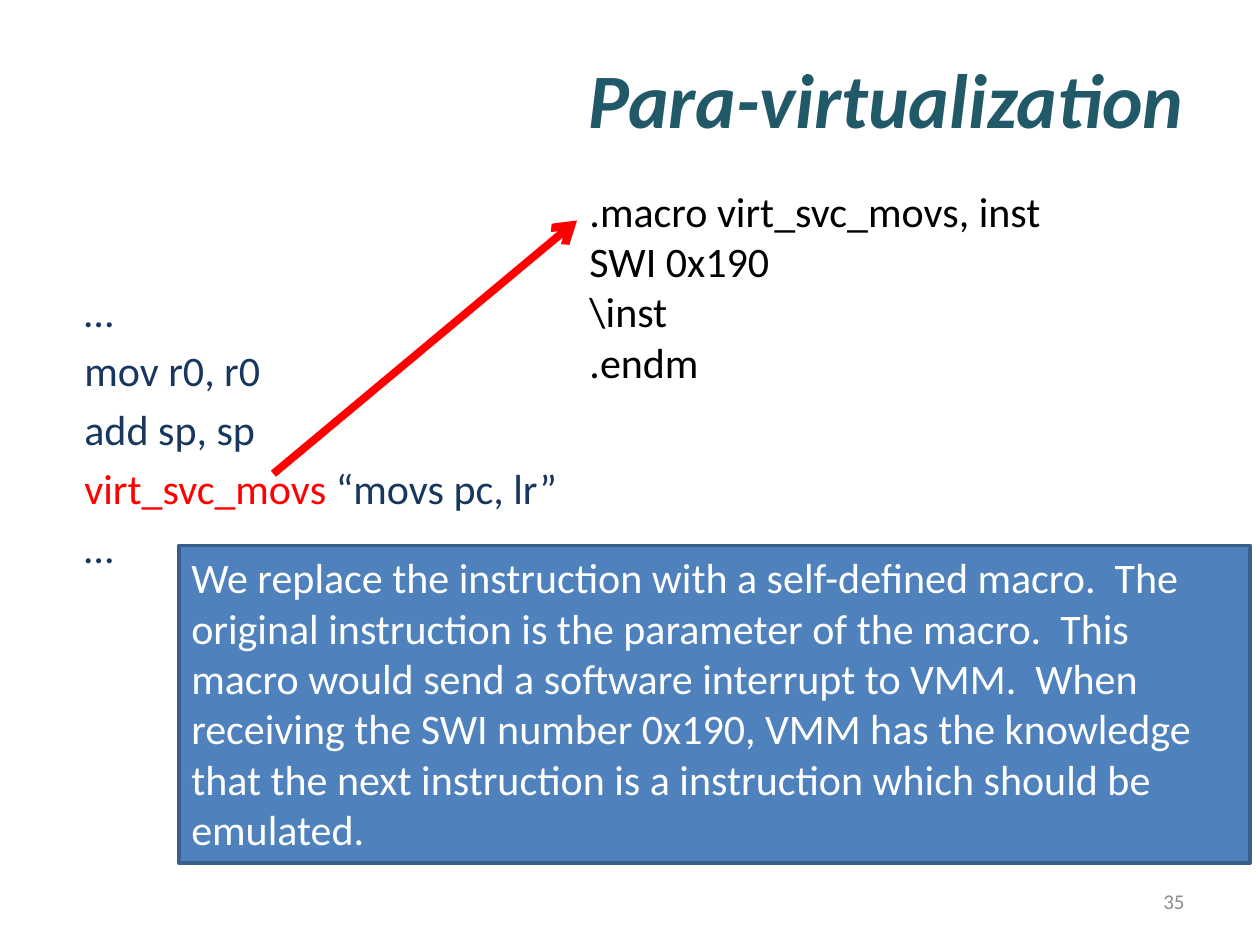
"""Build the para-virtualization slide."""
from lxml import etree
from pptx import Presentation
from pptx import util as u
from pptx.dml.color import RGBColor
from pptx.enum import shapes, text
from pptx.oxml.ns import qn

TEAL = RGBColor(0x21, 0x59, 0x68)
NAVY = RGBColor(0x17, 0x37, 0x5E)
RED = RGBColor(0xFF, 0x00, 0x00)
BLACK = RGBColor(0x00, 0x00, 0x00)
WHITE = RGBColor(0xFF, 0xFF, 0xFF)
GRAY = RGBColor(0x8C, 0x8C, 0x8C)
BLUE = RGBColor(0x4F, 0x81, 0xBD)
DARK_BLUE = RGBColor(0x3A, 0x5F, 0x8C)

ASSEMBLY = [
    [("…", NAVY)],
    [("mov r0, r0", NAVY)],
    [("add sp, sp", NAVY)],
    [("virt_svc_movs ", RED), ("“movs pc, lr”", NAVY)],
    [("…", NAVY)],
]
MACRO = [[(line, BLACK)] for line in
         (".macro virt_svc_movs, inst", "SWI 0x190", "\\inst", ".endm")]
EXPLANATION = (
    "We replace the instruction with a self-defined macro.  The original "
    "instruction is the parameter of the macro.  This macro would send a "
    "software interrupt to VMM.  When receiving the SWI number 0x190, VMM has "
    "the knowledge that the next instruction is a instruction which should be "
    "emulated."
)


def set_values(target, values):
    """Set each named attribute on the target."""
    for name, value in values.items():
        setattr(target, name, value)


def box(left, top, width, height):
    """Return a position and size in inches."""
    return [u.Inches(value) for value in (left, top, width, height)]


def write_text(shape, lines, size=24, align=text.PP_ALIGN.LEFT,
               anchor=text.MSO_ANCHOR.TOP, gap=0, **font):
    """Write lines of coloured runs into a shape."""
    frame = shape.text_frame
    set_values(frame, {"word_wrap": True, "vertical_anchor": anchor})
    for index, line in enumerate(lines):
        paragraph = frame.add_paragraph() if index else frame.paragraphs[0]
        set_values(paragraph, {"alignment": align,
                               "space_before": u.Pt(gap if index else 0)})
        for words, color in line:
            run = paragraph.add_run()
            run.text = words
            set_values(run.font, {"name": "Calibri", "size": u.Pt(size), **font})
            run.font.color.rgb = color


def add_title(slide, words):
    """Place and format the title placeholder."""
    title = slide.shapes.title
    left, top, width, height = box(0.5, 0.3, 9, 0.95)
    set_values(title, {"left": left, "top": top, "width": width, "height": height})
    write_text(title, [[(words, TEAL)]], 44, text.PP_ALIGN.RIGHT,
               text.MSO_ANCHOR.MIDDLE, bold=True, italic=True)


def add_text(slide, position, lines, **formats):
    """Add a text box."""
    shape = slide.shapes.add_textbox(*box(*position))
    write_text(shape, lines, **formats)
    return shape


def add_arrow(slide, start, end):
    """Add a red arrow between two points."""
    points = [u.Inches(value) for value in (*start, *end)]
    arrow = slide.shapes.add_connector(shapes.MSO_CONNECTOR.STRAIGHT, *points)
    arrow.line.color.rgb = RED
    arrow.line.width = u.Pt(4.5)
    properties = arrow.line._get_or_add_ln()
    etree.SubElement(properties, qn("a:tailEnd"), type="arrow")
    etree.SubElement(arrow._element.spPr, qn("a:effectLst"))


def add_callout(slide, position, words):
    """Add a filled rectangle with explanatory text."""
    shape = slide.shapes.add_shape(shapes.MSO_SHAPE.RECTANGLE, *box(*position))
    shape.shadow.inherit = False
    shape.fill.solid()
    shape.fill.fore_color.rgb = BLUE
    shape.line.color.rgb = DARK_BLUE
    shape.line.width = u.Pt(2)
    write_text(shape, [[(words, WHITE)]])


def main():
    """Build and save the slide."""
    presentation = Presentation()
    set_values(presentation, {"slide_width": u.Inches(10),
                              "slide_height": u.Inches(7.5)})
    slide = presentation.slides.add_slide(presentation.slide_layouts[5])
    add_title(slide, "Para-virtualization")
    assembly = add_text(slide, (0.5, 2.22, 9, 4.48), ASSEMBLY, gap=4.8)
    assembly.text_frame.margin_left = u.Inches(0.17)
    add_text(slide, (7.17, 6.95, 2.33, 0.4), [[("35", GRAY)]], size=12,
             align=text.PP_ALIGN.RIGHT, anchor=text.MSO_ANCHOR.MIDDLE)
    add_text(slide, (4.58, 1.42, 5.2, 1.72), MACRO)
    add_arrow(slide, (2.17, 3.76), (4.58, 1.75))
    add_callout(slide, (1.42, 4.33, 8.5, 2.52), EXPLANATION)
    presentation.save("out.pptx")


if __name__ == "__main__":
    main()
